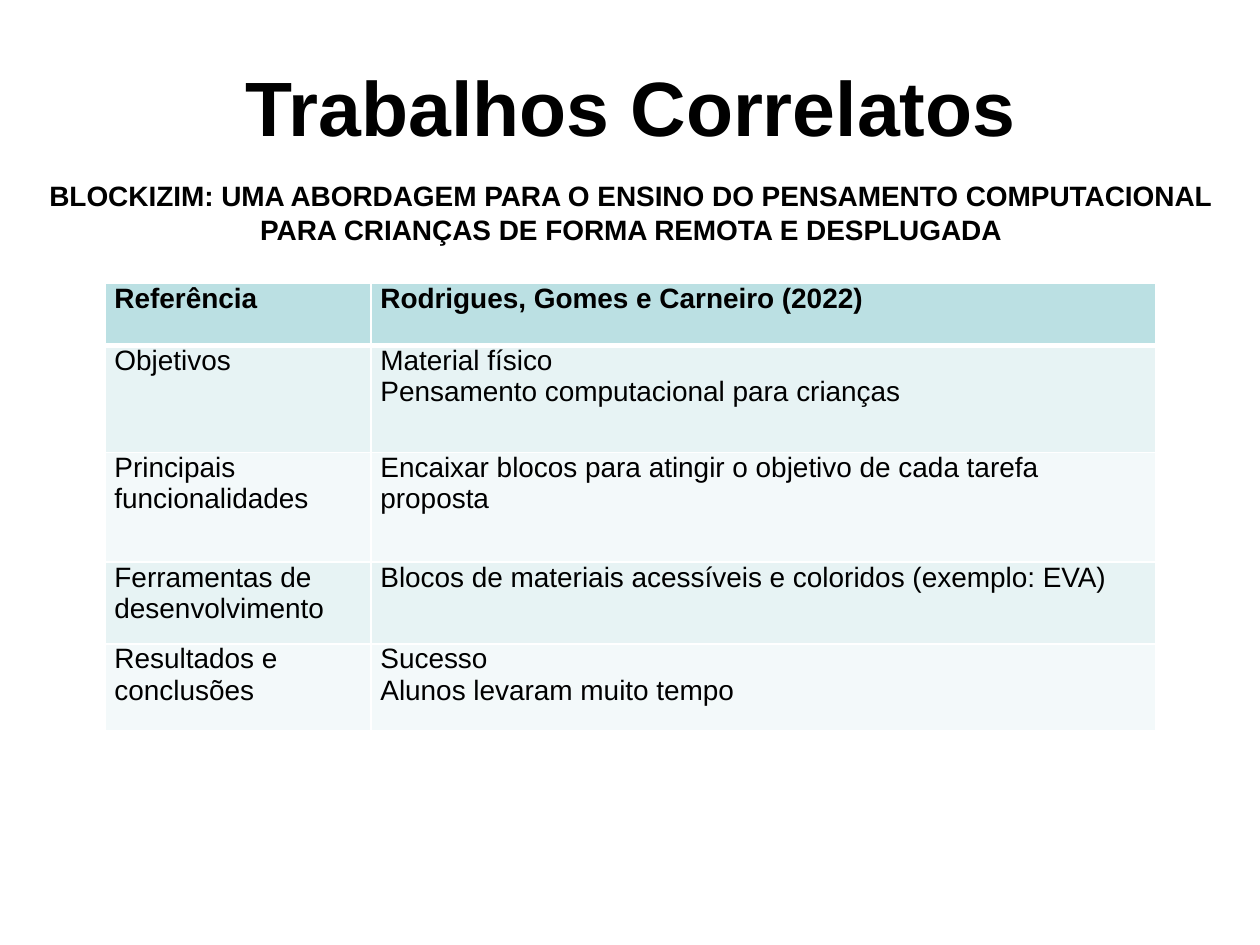
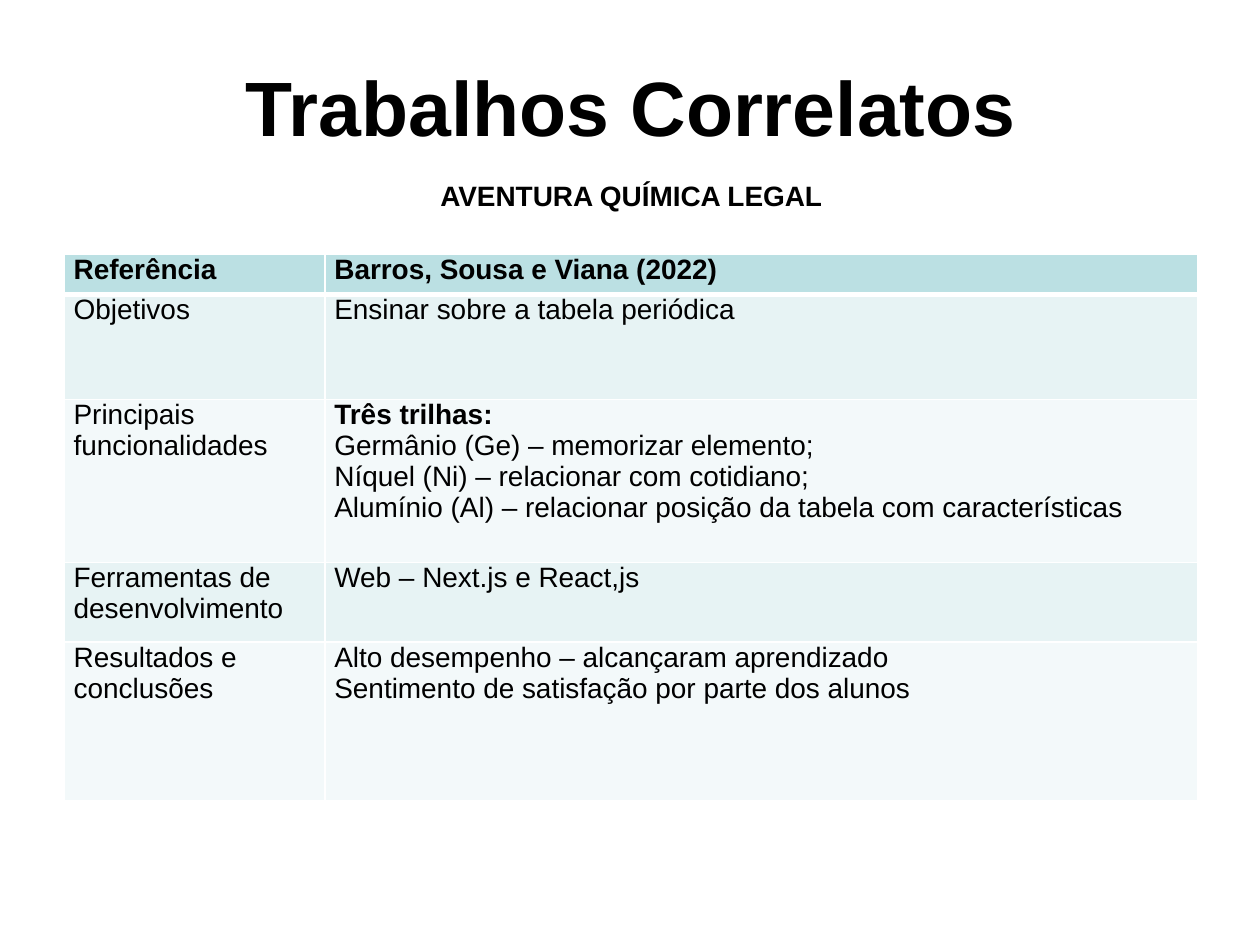
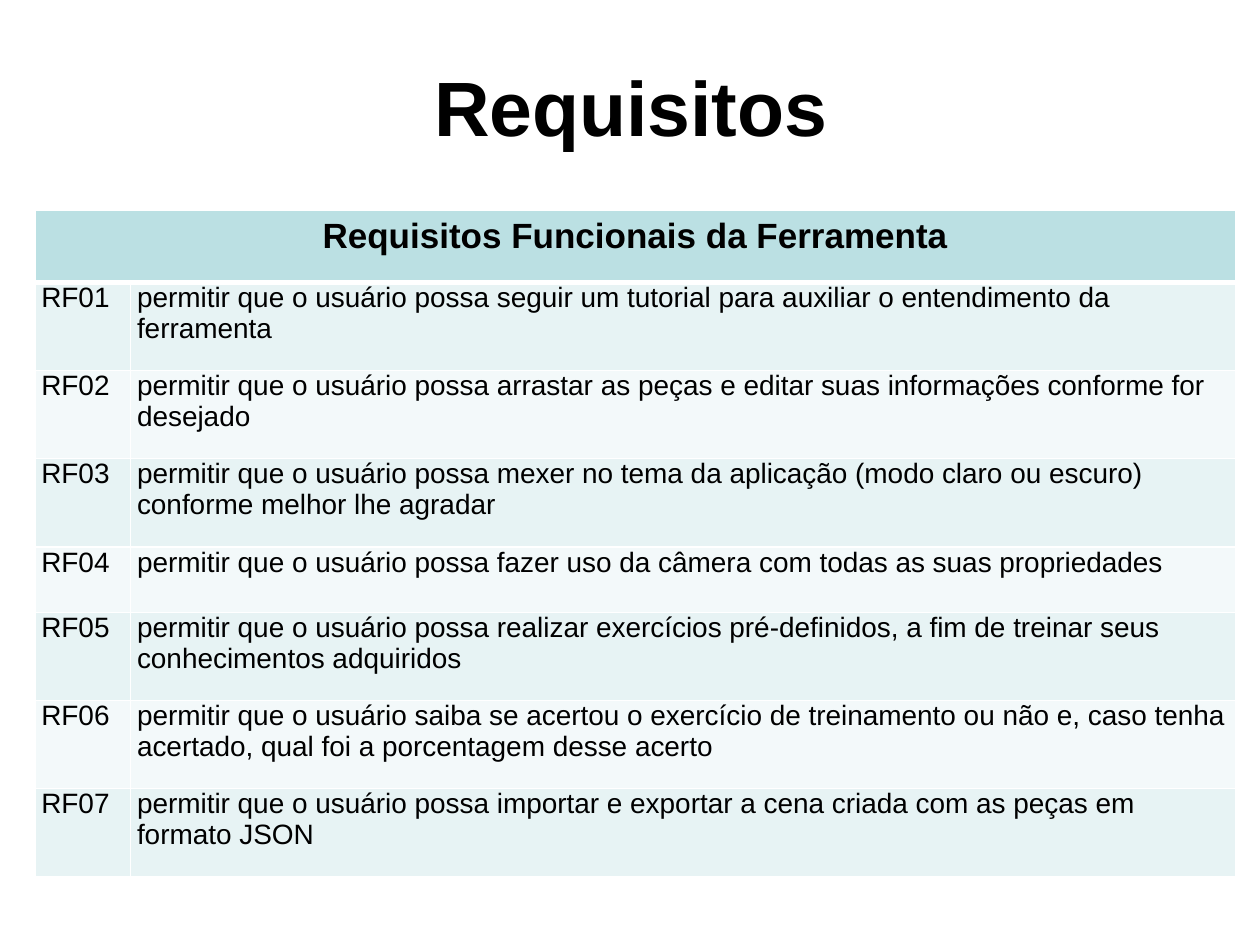
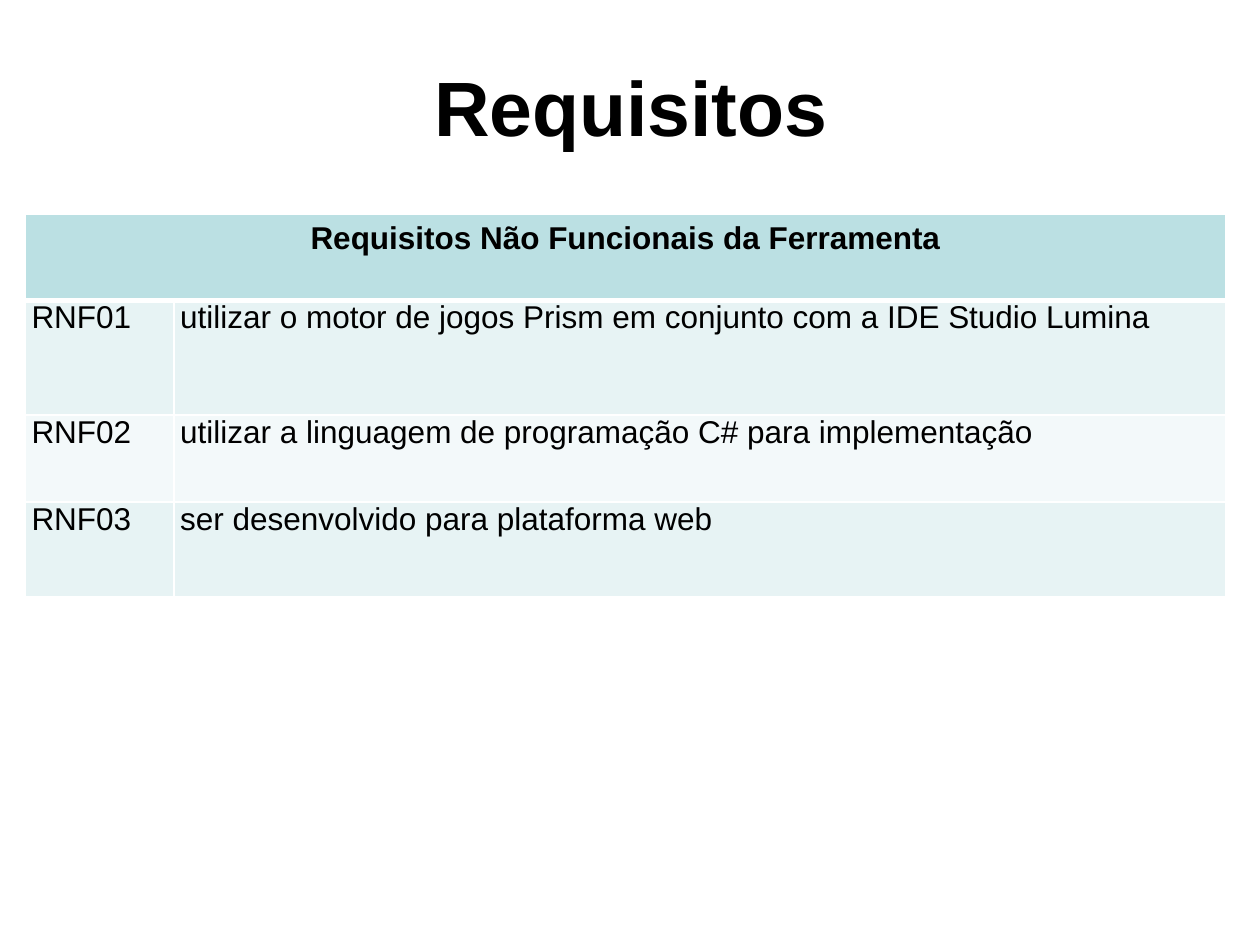
"""Build four slides of tables on related works and requirements."""
from lxml.etree import SubElement
from pptx import Presentation
from pptx.dml.color import RGBColor
from pptx.enum.text import MSO_ANCHOR, PP_ALIGN
from pptx.oxml.ns import qn
from pptx.util import Pt

HUES = {"text": "000000", "head": "BBE0E3", "odd": "E7F3F4", "even": "F3F9FA", "edge": "FFFFFF"}
FONT = "Arial"
LABELS = ["Objetivos", "Principais funcionalidades",
          "Ferramentas de desenvolvimento", "Resultados e conclusões"]

WORKS = [
    {"title": "Trabalhos Correlatos",
     "sub": "BLOCKIZIM: UMA ABORDAGEM PARA O ENSINO DO PENSAMENTO COMPUTACIONAL\n"
            "PARA CRIANÇAS DE FORMA REMOTA E DESPLUGADA",
     "box": (12.2, 98.6, 697, 46), "at": (60, 162), "pad": 5.4, "size": 16, "top": 16,
     "cols": [152, 448.6], "rows": [35.3, 61.2, 62.6, 46.8, 49.7],
     "head": ["Referência", "Rodrigues, Gomes e Carneiro (2022)"],
     "body": list(zip(LABELS, [
         "Material físico\nPensamento computacional para crianças",
         "Encaixar blocos para atingir o objetivo de cada tarefa proposta",
         "Blocos de materiais acessíveis e coloridos (exemplo: EVA)",
         "Sucesso\nAlunos levaram muito tempo"]))},
    {"title": "Trabalhos Correlatos",
     "sub": "AVENTURA QUÍMICA LEGAL",
     "box": (239.8, 98.6, 242, 26.6), "at": (36.7, 145.4), "pad": 5.4, "size": 16, "top": 16,
     "cols": [149, 499], "rows": [23, 59.8, 93.4, 45.4, 90.5],
     "head": ["Referência", "Barros, Sousa e Viana (2022)"],
     "body": list(zip(LABELS, [
         "Ensinar sobre a tabela periódica",
         "Três trilhas:\nGermânio (Ge) – memorizar elemento;\n"
         "Níquel (Ni) – relacionar com cotidiano;\n"
         "Alumínio (Al) – relacionar posição da tabela com características",
         "Web – Next.js e React,js",
         "Alto desempenho – alcançaram aprendizado\n"
         "Sentimento de satisfação por parte dos alunos"]))},
    {"title": "Requisitos",
     "at": (20, 120.3), "pad": 3.6, "size": 16, "top": 20,
     "cols": [54.7, 631.4], "rows": [41] + [50.4] * 3 + [37.4] + [50.4] * 3,
     "head": ["Requisitos Funcionais da Ferramenta"],
     "body": [(f"RF{num:02}", "permitir que o usuário " + goal) for num, goal in enumerate([
         "possa seguir um tutorial para auxiliar o entendimento da ferramenta",
         "possa arrastar as peças e editar suas informações conforme for desejado",
         "possa mexer no tema da aplicação (modo claro ou escuro) conforme melhor lhe agradar",
         "possa fazer uso da câmera com todas as suas propriedades",
         "possa realizar exercícios pré-definidos, a fim de treinar seus conhecimentos adquiridos",
         "saiba se acertou o exercício de treinamento ou não e, caso tenha acertado, "
         "qual foi a porcentagem desse acerto",
         "possa importar e exportar a cena criada com as peças em formato JSON"], 1)]},
    {"title": "Requisitos",
     "at": (14.4, 122.6), "pad": 3.6, "size": 18, "top": 18,
     "cols": [85, 601.2], "rows": [49, 65.5, 49.7, 54.5],
     "head": ["Requisitos Não Funcionais da Ferramenta"],
     "body": [(f"RNF{num:02}", goal) for num, goal in enumerate([
         "utilizar o motor de jogos Prism em conjunto com a IDE Studio Lumina",
         "utilizar a linguagem de programação C# para implementação",
         "ser desenvolvido para plataforma web"], 1)]},
]


def write(frame, text, size, bold, align):
    """Fill a text frame and format its runs."""
    frame.text = text
    for para in frame.paragraphs:
        para.alignment = align
        for run in para.runs:
            run.font.name = FONT
            run.font.size = Pt(size)
            run.font.bold = bold or run.text.endswith(":")
            run.font.color.rgb = RGBColor.from_string(HUES["text"])


def paint(cell, hue, base):
    """Give a cell its borders and fill."""
    props = cell._tc.get_or_add_tcPr()
    for side, width in (("L", 1), ("R", 1), ("T", 1), ("B", base)):
        line = SubElement(props, qn(f"a:ln{side}"), w=str(Pt(width)))
        fill = SubElement(line, qn("a:solidFill"))
        SubElement(fill, qn("a:srgbClr"), val=HUES["edge"])
    cell.fill.solid()
    cell.fill.fore_color.rgb = RGBColor.from_string(HUES[hue])


deck = Presentation()
deck.slide_width, deck.slide_height = Pt(720), Pt(540)

for work in WORKS:
    slide = deck.slides.add_slide(deck.slide_layouts[6])
    title = slide.shapes.add_textbox(Pt(36.7), Pt(15.1), Pt(648), Pt(90)).text_frame
    title.word_wrap = True
    title.vertical_anchor = MSO_ANCHOR.MIDDLE
    write(title, work["title"], 44, True, PP_ALIGN.CENTER)

    cols, rows = work["cols"], work["rows"]
    left, top = work["at"]
    grid = slide.shapes.add_table(len(rows), len(cols), Pt(left), Pt(top),
                                  Pt(sum(cols)), Pt(sum(rows))).table
    for col, width in zip(grid.columns, cols):
        col.width = Pt(width)
    for row, height in zip(grid.rows, rows):
        row.height = Pt(height)

    merged = len(work["head"]) == 1
    for i, texts in enumerate([work["head"]] + work["body"]):
        first = i == 0
        hue = "head" if first else "odd" if i % 2 else "even"
        for cell in grid.rows[i].cells:
            paint(cell, hue, 3 if first or i == 0 else 1)
        for j, text in enumerate(texts):
            cell = grid.cell(i, j)
            if not (first and merged):
                cell.margin_left = cell.margin_right = Pt(work["pad"])
                cell.margin_top = cell.margin_bottom = Pt(0)
            align = PP_ALIGN.CENTER if first and merged else PP_ALIGN.LEFT
            write(cell.text_frame, text, work["top" if first else "size"], first, align)
    if merged:
        grid.cell(0, 0).merge(grid.cell(0, 1))

    if "sub" in work:
        note = slide.shapes.add_textbox(*map(Pt, work["box"])).text_frame
        note.word_wrap = False
        write(note, work["sub"], 16, True, PP_ALIGN.CENTER)

deck.save("out.pptx")
